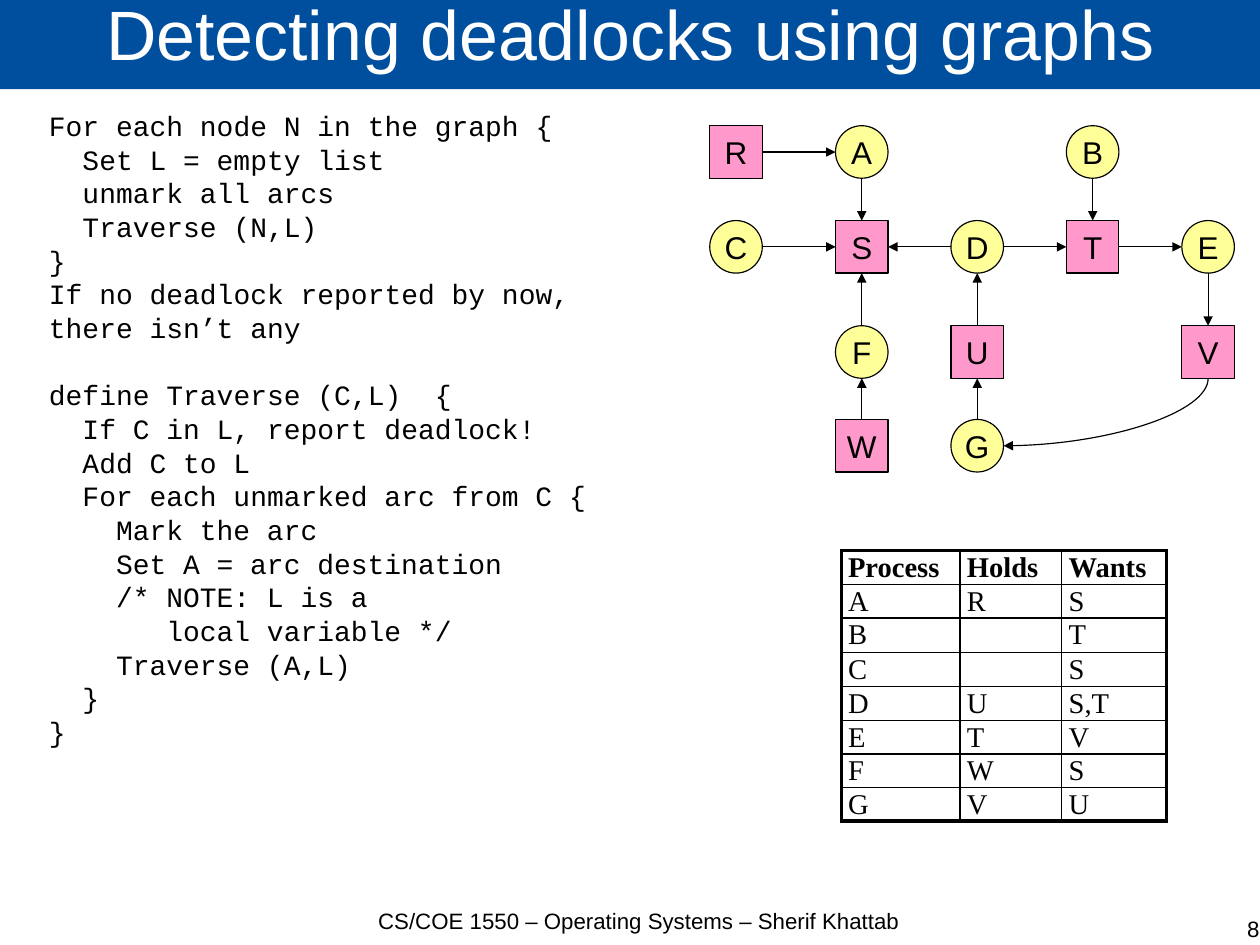
from dataclasses import dataclass
from lxml import etree
from pptx import Presentation
from pptx.dml.color import RGBColor
from pptx.enum.shapes import MSO_CONNECTOR, MSO_SHAPE
from pptx.enum.text import MSO_ANCHOR, PP_ALIGN
from pptx.oxml.ns import qn
from pptx.util import Inches, Pt

SQUARE, CIRCLE = MSO_SHAPE.RECTANGLE, MSO_SHAPE.OVAL
STRAIGHT = MSO_CONNECTOR.STRAIGHT
LEFT, CENTER, RIGHT = PP_ALIGN.LEFT, PP_ALIGN.CENTER, PP_ALIGN.RIGHT
MIDDLE = MSO_ANCHOR.MIDDLE


@dataclass(frozen=True)
class Theme:
    bar: str = "004F9E"
    white: str = "FFFFFF"
    ink: str = "000000"
    resource: str = "FF99CC"
    process: str = "FFFF99"
    sans: str = "Arial"
    mono: str = "Courier New"
    serif: str = "Times New Roman"
    title: float = 44
    footer: float = 14
    node: float = 19.8
    code: float = 17.6
    code_line: float = 21.2
    cell: float = 18
    cell_line: float = 20.7
    arc: float = 0.75
    inner: float = 1
    outer: float = 2.25


THEME = Theme()

TITLE = "Detecting deadlocks using graphs"
FOOTERS = [
    ("CS/COE 1550 – Operating Systems – Sherif Khattab", 3.07, 7.94, CENTER),
    ("8", 5.98, 8.01, RIGHT),
]
CODE = [
    (0, "For each node N in the graph {"),
    (2, "Set L = empty list"),
    (2, "unmark all arcs"),
    (2, "Traverse (N,L)"),
    (0, "}"),
    (0, "If no deadlock reported by now, there isn’t any"),
    (0, "define Traverse (C,L)  {"),
    (2, "If C in L, report deadlock!"),
    (2, "Add C to L"),
    (2, "For each unmarked arc from C {"),
    (4, "Mark the arc"),
    (4, "Set A = arc destination"),
    (4, "/* NOTE: L is a"),
    (7, "local variable */"),
    (4, "Traverse (A,L)"),
    (2, "}"),
    (0, "}"),
]
HEADINGS = ("Process", "Holds", "Wants")
REQUESTS = [
    ("A", "R", "S"),
    ("B", "", "T"),
    ("C", "", "S"),
    ("D", "U", "S,T"),
    ("E", "T", "V"),
    ("F", "W", "S"),
    ("G", "V", "U"),
]
GRAPH = ["RA.B.", "CSDTE", ".FU.V", ".WG.."]
COLUMN_X = (6.44, 7.54, 8.55, 9.56, 10.57)
ROW_Y = (1.33, 2.16, 3.08, 3.9)
NODE = 0.46
TABLE_COLUMNS = (1.04, 0.89, 0.92)
TABLE_HEIGHT = 2.35
CM_PER_INCH = 2.54


def rgb(value):
    return RGBColor.from_string(value)


def write(paragraph, text, size, font, color=THEME.ink, align=LEFT, bold=False):
    paragraph.alignment = align
    run = paragraph.add_run()
    run.text = text
    run.font.size, run.font.name, run.font.bold = Pt(size), font, bold
    run.font.color.rgb = rgb(color)


def clear_margins(frame):
    frame.margin_left = frame.margin_right = frame.margin_top = frame.margin_bottom = 0


def add_frame(left, top, width, height):
    frame = slide.shapes.add_textbox(*map(Inches, (left, top, width, height))).text_frame
    frame.word_wrap = True
    return frame


def add_arc(source, target):
    (x1, y1), (x2, y2) = centers[source], centers[target]
    dx, dy = x2 - x1, y2 - y1
    step_x, step_y = ((d > 0) - (d < 0) for d in (dx, dy))
    curved = bool(dx and dy)
    half = NODE / 2
    if curved:
        y1 += half * step_y
        x2 -= half * step_x
        middle_x, middle_y = (x1 + x2) / 2, (y1 + y2) / 2
        across, down = abs(x2 - x1) / 2, abs(y2 - y1) / 2
        ends = middle_x - down, middle_y - across, middle_x + down, middle_y + across
    else:
        ends = (x1 + half * step_x, y1 + half * step_y,
                x2 - half * step_x, y2 - half * step_y)
    arc = slide.shapes.add_connector(STRAIGHT, *map(Inches, ends))
    arc.line.color.rgb, arc.line.width = rgb(THEME.ink), Pt(THEME.arc)
    properties = arc._element.spPr
    if curved:
        properties.find(qn("a:xfrm")).set("rot", "5400000")
        properties.find(qn("a:prstGeom")).set("prst", "curvedConnector2")
    etree.SubElement(properties.find(qn("a:ln")), qn("a:tailEnd"), type="triangle")
    etree.SubElement(properties, qn("a:effectLst"))


def set_borders(cell, widths):
    cell_properties = cell._tc.get_or_add_tcPr()
    for index, (side, width) in enumerate(zip("LRTB", widths)):
        border = etree.Element(qn("a:ln" + side), w=str(Pt(width)))
        fill = etree.SubElement(border, qn("a:solidFill"))
        etree.SubElement(fill, qn("a:srgbClr"), val=THEME.ink)
        cell_properties.insert(index, border)


deck = Presentation()
deck.slide_width = Inches(28 / CM_PER_INCH)
deck.slide_height = Inches(21 / CM_PER_INCH)
slide = deck.slides.add_slide(deck.slide_layouts[5])

title = slide.shapes.title
title.left, title.top, title.width, title.height = map(Inches, (0, -0.02, 11.04, 0.8))
title.fill.solid()
title.fill.fore_color.rgb = rgb(THEME.bar)
clear_margins(title.text_frame)
title.text_frame.vertical_anchor = MIDDLE
heading = title.text_frame.paragraphs[0]
heading.line_spacing = 0.69
write(heading, TITLE, THEME.title, THEME.sans, THEME.white, CENTER)

for text, left, top, align in FOOTERS:
    footer = add_frame(left, top, 5.04, 0.55)
    clear_margins(footer)
    write(footer.paragraphs[0], text, THEME.footer, THEME.sans, align=align)

code = add_frame(0.33, 0.9, 5.05, 5.74)
for index, (indent, text) in enumerate(CODE):
    line = code.paragraphs[0] if index == 0 else code.add_paragraph()
    line.line_spacing = Pt(THEME.code_line)
    if text.startswith("define"):
        line.space_before = Pt(THEME.code_line)
    line._p.get_or_add_pPr().set("marL", str(Pt(indent * 0.6 * THEME.code)))
    write(line, text, THEME.code, THEME.mono)

processes = {process for process, _, _ in REQUESTS}
centers = {name: (x, y) for y, names in zip(ROW_Y, GRAPH)
           for x, name in zip(COLUMN_X, names) if name != "."}
for name, (x, y) in centers.items():
    is_process = name in processes
    node = slide.shapes.add_shape(CIRCLE if is_process else SQUARE, Inches(x - NODE / 2),
                                  Inches(y - NODE / 2), Inches(NODE), Inches(NODE))
    node.shadow.inherit = False
    node.fill.solid()
    node.fill.fore_color.rgb = rgb(THEME.process if is_process else THEME.resource)
    node.line.color.rgb, node.line.width = rgb(THEME.ink), Pt(THEME.arc)
    node.text_frame.word_wrap = False
    node.text_frame.vertical_anchor = MIDDLE
    write(node.text_frame.paragraphs[0], name, THEME.node, THEME.sans, align=CENTER)

for process, held, wanted in REQUESTS:
    if held:
        add_arc(held, process)
    for resource in wanted.split(","):
        add_arc(process, resource)

rows = [HEADINGS, *REQUESTS]
last_row, last_column = len(rows) - 1, len(HEADINGS) - 1
table = slide.shapes.add_table(len(rows), len(HEADINGS), Inches(7.36), Inches(4.82),
                               Inches(sum(TABLE_COLUMNS)), Inches(TABLE_HEIGHT)).table
table.first_row = table.horz_banding = False
for column, width in zip(table.columns, TABLE_COLUMNS):
    column.width = Inches(width)
for r, values in enumerate(rows):
    for c, value in enumerate(values):
        cell = table.cell(r, c)
        cell.fill.background()
        clear_margins(cell)
        cell.margin_left = cell.margin_right = Inches(0.06)
        entry = cell.text_frame.paragraphs[0]
        entry.line_spacing = Pt(THEME.cell_line)
        write(entry, value, THEME.cell, THEME.serif, bold=r == 0)
        on_edge = (c == 0, c == last_column, r == 0, r == last_row)
        set_borders(cell, [THEME.outer if edge else THEME.inner for edge in on_edge])

deck.save("out.pptx")
